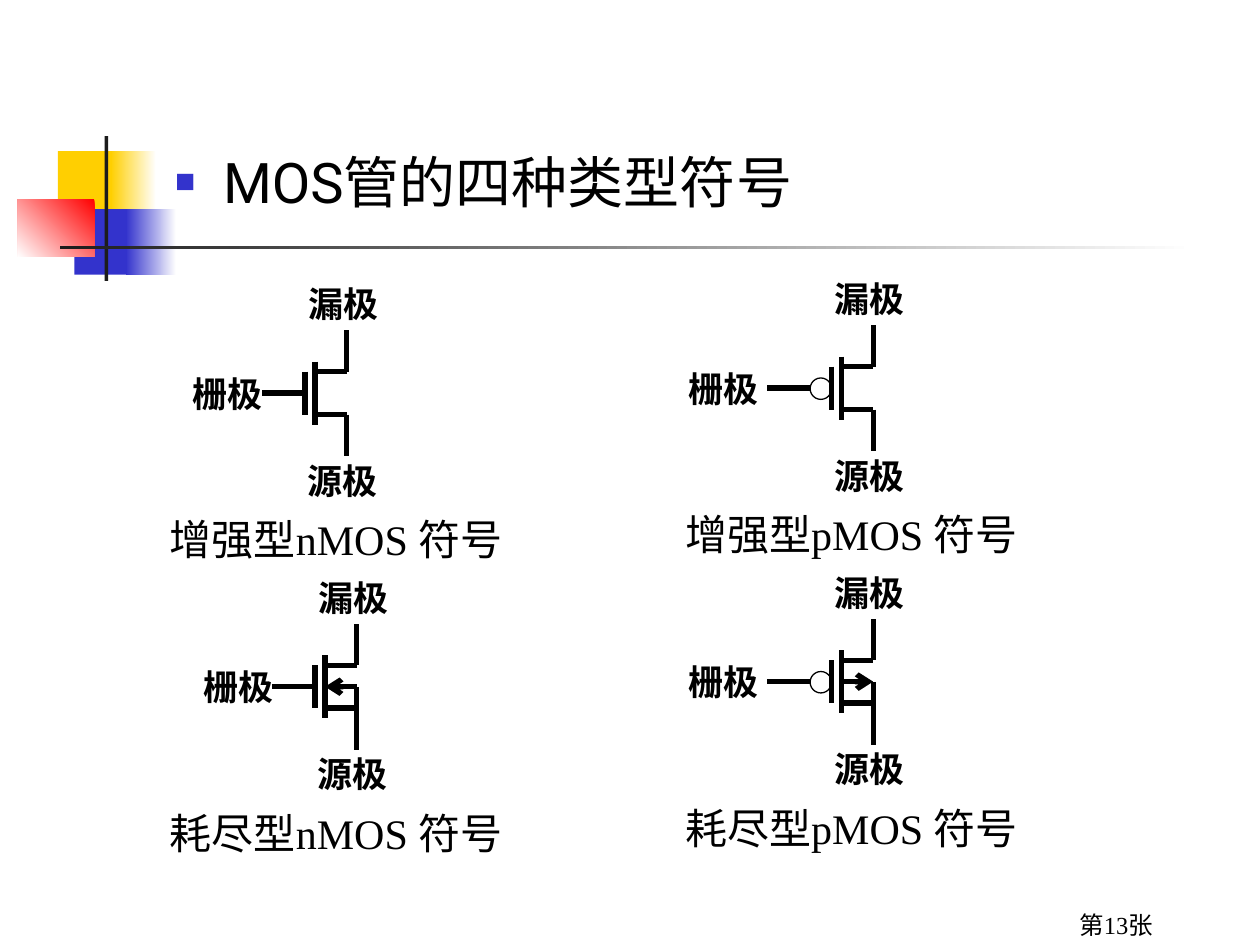
from lxml import etree
from pptx import Presentation
from pptx.dml.color import RGBColor
from pptx.enum.shapes import MSO_CONNECTOR, MSO_SHAPE
from pptx.enum.text import MSO_ANCHOR, MSO_AUTO_SIZE, PP_ALIGN
from pptx.oxml.ns import qn
from pptx.util import Inches, Pt

RECTANGLE, OVAL = MSO_SHAPE.RECTANGLE, MSO_SHAPE.OVAL
STRAIGHT = MSO_CONNECTOR.STRAIGHT
TOP, MIDDLE = MSO_ANCHOR.TOP, MSO_ANCHOR.MIDDLE
LEFT, CENTER, RIGHT = PP_ALIGN.LEFT, PP_ALIGN.CENTER, PP_ALIGN.RIGHT
NO_AUTOFIT = MSO_AUTO_SIZE.NONE

BLACK, WHITE, YELLOW = "000000", "FFFFFF", "FFCF01"
BLUE, RED, DARK = "3333CC", "FF0000", "1C1C1C"
SERIF, SANS = "Times New Roman", "Roboto"


def color(value):
    return RGBColor.from_string(value)


def add_span(para, text, size, font=SERIF, bold=False):
    span = para.add_run()
    span.text = text
    span.font.size = Pt(size)
    span.font.name = font
    span.font.bold = bold
    span.font.color.rgb = color(BLACK)


def add_text(shapes, spot, text, size, align=LEFT, anchor=TOP, bold=False, wrap=False):
    box = shapes.add_textbox(*map(Inches, spot))
    frame = box.text_frame
    frame.word_wrap = wrap
    frame.auto_size = NO_AUTOFIT
    frame.vertical_anchor = anchor
    para = frame.paragraphs[0]
    para.alignment = align
    add_span(para, text, size, bold=bold)


def add_block(shapes, spot, start, end=None, angle=180):
    """Borderless rectangle, plain or fading from start to end."""
    block = shapes.add_shape(RECTANGLE, *map(Inches, spot))
    block.shadow.inherit = False
    block.line.fill.background()
    if end is None:
        block.fill.solid()
        block.fill.fore_color.rgb = color(start)
        return
    block.fill.gradient()
    block.fill.gradient_angle = angle
    for stop, value in zip(block.fill.gradient_stops, (start, end)):
        stop.color.rgb = color(value)


def add_wire(shapes, x1, y1, x2, y2, arrow=False):
    wire = shapes.add_connector(STRAIGHT, *map(Inches, (x1, y1, x2, y2)))
    wire.line.width = Pt(3)
    wire.line.color.rgb = color(BLACK)
    if arrow:
        line = wire.line._get_or_add_ln()
        etree.SubElement(line, qn("a:tailEnd"), type="arrow")
    etree.SubElement(wire._element.spPr, qn("a:effectLst"))


def add_transistor(shapes, x, y, p_type, depletion):
    """Symbol with its channel centred on x, y."""
    gate_end = x - (0.25 if p_type else 0.08)
    wires = [
        (x, y - 0.25, x, y + 0.25),  # channel
        (x - 0.08, y - 0.17, x - 0.08, y + 0.17),  # gate plate
        (gate_end, y, gate_end - 0.34, y),  # gate lead
    ]
    for side in (-1, 1):  # drain above, source below
        knee = y + side * 0.17
        wires += [(x, knee, x + 0.25, knee),
                  (x + 0.25, knee, x + 0.25, y + side * 0.5)]
    if depletion:
        wires.append((x + 0.25, y + 0.17, x + 0.25, y))
    for wire in wires:
        add_wire(shapes, *wire)

    # Substrate arrow points at the channel for n, away from it for p
    if depletion:
        ends = (x, x + 0.25) if p_type else (x + 0.25, x)
        add_wire(shapes, ends[0], y, ends[1], y, arrow=True)
    if p_type:
        bubble = shapes.add_shape(OVAL, Inches(x - 0.25), Inches(y - 0.08),
                                  Inches(0.17), Inches(0.17))
        bubble.shadow.inherit = False
        bubble.fill.background()
        bubble.line.color.rgb = color(BLACK)
        bubble.line.width = Pt(0.75)

    # Terminal names
    gate_left = x - (1.25 if p_type else 1)
    for text, spot in (("漏极", (x - 0.17, y - 0.92, 0.79, 0.42)),
                       ("栅极", (gate_left, y - 0.25, 0.62, 0.5)),
                       ("源极", (x - 0.25, y + 0.5, 0.94, 0.38))):
        add_text(shapes, spot, text, 20, CENTER, MIDDLE, bold=True)


def add_decoration(shapes):
    add_block(shapes, (0.46, 1.2, 0.48, 0.52), YELLOW)
    add_block(shapes, (0.88, 1.2, 0.36, 0.52), WHITE, YELLOW)
    add_block(shapes, (0.59, 1.66, 0.46, 0.52), BLUE)
    add_block(shapes, (1, 1.66, 0.4, 0.52), WHITE, BLUE)
    add_block(shapes, (0.14, 1.58, 0.61, 0.46), RED, WHITE, angle=225)
    add_block(shapes, (0.83, 1.08, 0.03, 1.15), DARK)
    add_block(shapes, (0.48, 1.95, 9, 0.03), WHITE, DARK)


def fill_heading(body):
    body.left, body.top, body.width, body.height = map(Inches, (1.29, 1.12, 8.5, 0.79))
    body.text_frame.auto_size = NO_AUTOFIT
    body.text_frame.vertical_anchor = TOP
    para = body.text_frame.paragraphs[0]
    para.space_before = Pt(8)
    add_span(para, "MOS管的四种类型符号", 32, SANS)
    # Square bullet with a hanging indent
    props = para._p.get_or_add_pPr()
    props.set("marL", str(Inches(0.38)))
    props.set("indent", str(-Inches(0.38)))
    tint = etree.SubElement(props, qn("a:buClr"))
    etree.SubElement(tint, qn("a:srgbClr"), val=BLUE)
    etree.SubElement(props, qn("a:buSzPct"), val="60000")
    etree.SubElement(props, qn("a:buChar"), char="■")


def main():
    deck = Presentation()
    deck.slide_width, deck.slide_height = Inches(10), Inches(7.5)
    page = deck.slides.add_slide(deck.slide_layouts[1])
    title = page.shapes.title._element
    title.getparent().remove(title)

    add_decoration(page.shapes)
    fill_heading(page.placeholders[1])

    # One group per channel type: enhancement above, depletion below
    columns = (("nMOS", 1.25, (2.5, 2.58), 3.12),
               ("pMOS", 5.34, (6.68, 6.68), 3.08))
    for name, caption_left, channels, first_y in columns:
        group = page.shapes.add_group_shape()
        for row, mode in enumerate(("增强型", "耗尽型")):
            y = first_y + row * 2.33
            add_transistor(group.shapes, channels[row], y, name == "pMOS", row == 1)
            add_text(group.shapes, (caption_left, y + 0.91, 3, 0.5),
                     f"{mode}{name} 符号", 24)

    # Page number
    add_text(page.shapes, (7.17, 7.17, 2.08, 0.33), "第13张", 14, RIGHT, wrap=True)
    deck.save("out.pptx")


if __name__ == "__main__":
    main()
